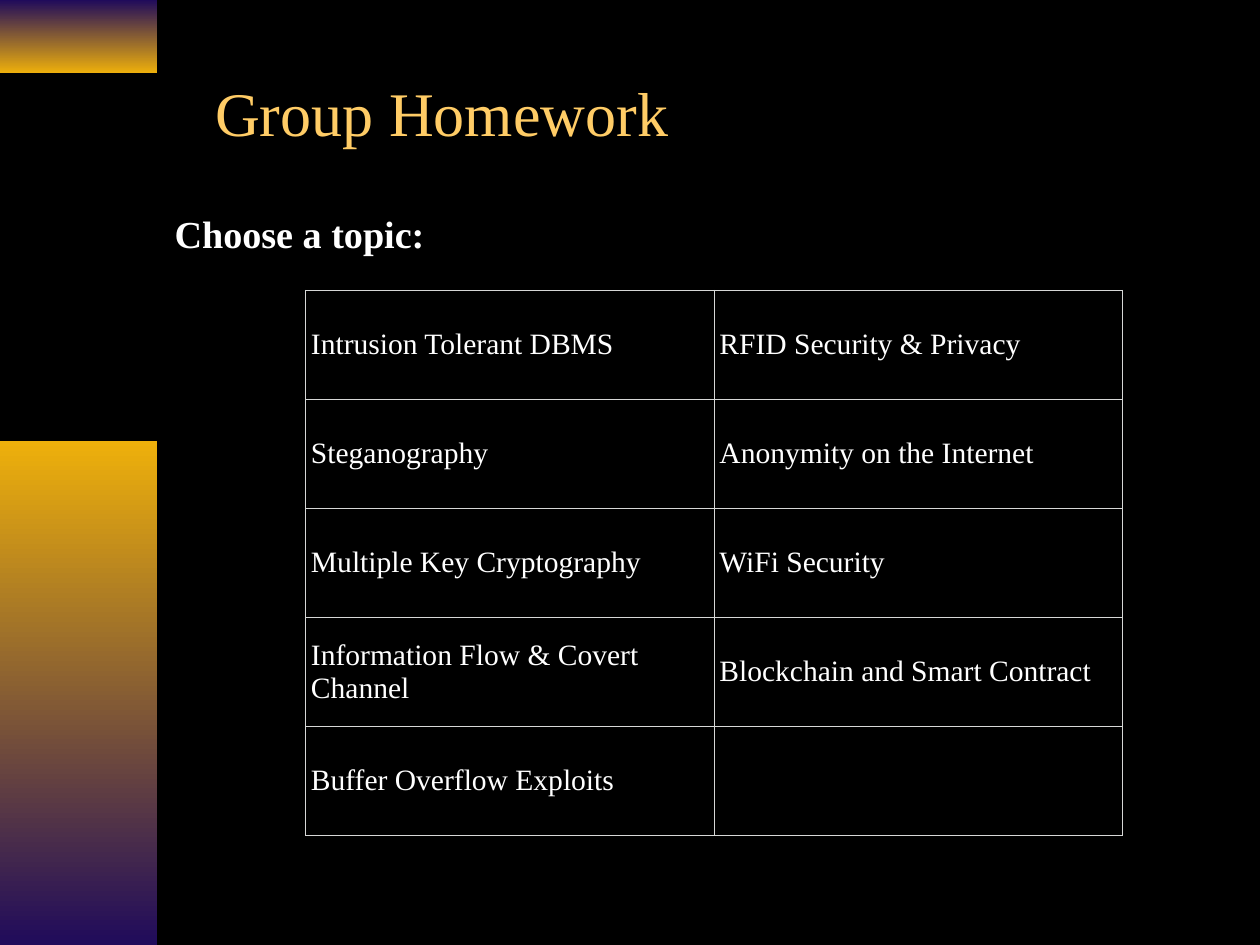
"""Build the Group Homework slide with its table of topics."""
import lxml.etree
import pptx
import pptx.dml.color
import pptx.enum.shapes
import pptx.enum.text
import pptx.oxml.ns
import pptx.util

TITLE = "Group Homework"
PROMPT = "Choose a topic:"
TOPICS = [
    ("Intrusion Tolerant DBMS", "RFID Security & Privacy"),
    ("Steganography", "Anonymity on the Internet"),
    ("Multiple Key Cryptography", "WiFi Security"),
    ("Information Flow & Covert Channel", "Blockchain and Smart Contract"),
    ("Buffer Overflow Exploits", ""),
]

BLACK = pptx.dml.color.RGBColor(0x00, 0x00, 0x00)
WHITE = pptx.dml.color.RGBColor(0xFF, 0xFF, 0xFF)
AMBER = pptx.dml.color.RGBColor(0xFF, 0xCC, 0x66)
GOLD = pptx.dml.color.RGBColor(0xEE, 0xB0, 0x0B)
NAVY = pptx.dml.color.RGBColor(0x20, 0x0B, 0x5B)
BORDER = pptx.dml.color.RGBColor(0xD6, 0xD7, 0xD6)

FONT = "Times New Roman"
WIDTH, HEIGHT = 14.22, 10.67
BAR_WIDTH = WIDTH / 8
BARS = [(0, 0.83, GOLD, NAVY), (4.98, HEIGHT - 4.98, NAVY, GOLD)]
TABLE_LEFT, TABLE_TOP = 3.45, 3.28
COLUMN_WIDTH, ROW_HEIGHT = 4.61, 1.23

Inches = pptx.util.Inches
Anchor = pptx.enum.text.MSO_ANCHOR
Align = pptx.enum.text.PP_ALIGN


def write_text(frame, text, size, color=WHITE, bold=False, align=Align.LEFT,
               anchor=Anchor.TOP, inset=0.07, space_before=0):
    frame.word_wrap = True
    frame.vertical_anchor = anchor
    frame.margin_left = frame.margin_right = Inches(inset)
    frame.margin_top = frame.margin_bottom = Inches(inset)
    paragraph = frame.paragraphs[0]
    paragraph.alignment = align
    paragraph.space_before = pptx.util.Pt(space_before)
    run = paragraph.add_run()
    run.text = text
    run.font.name = FONT
    run.font.size = pptx.util.Pt(size)
    run.font.bold = bold
    run.font.color.rgb = color


def add_text_box(slide, box, text, **text_format):
    shape = slide.shapes.add_textbox(*map(Inches, box))
    write_text(shape.text_frame, text, **text_format)


def add_bar(slide, top, height, bottom_color, top_color):
    shape = slide.shapes.add_shape(
        pptx.enum.shapes.MSO_SHAPE.RECTANGLE,
        0, Inches(top), Inches(BAR_WIDTH), Inches(height))
    shape.shadow.inherit = False
    shape.line.fill.background()
    shape.fill.gradient()
    shape.fill.gradient_angle = 90
    for stop, color in zip(shape.fill.gradient_stops, (bottom_color, top_color)):
        stop.color.rgb = color


def add_borders(cell):
    qn = pptx.oxml.ns.qn
    properties = cell._tc.get_or_add_tcPr()
    for side in ("a:lnL", "a:lnR", "a:lnT", "a:lnB"):
        line = lxml.etree.SubElement(properties, qn(side), w=str(pptx.util.Pt(1)))
        fill = lxml.etree.SubElement(line, qn("a:solidFill"))
        lxml.etree.SubElement(fill, qn("a:srgbClr"), val=str(BORDER))


def add_topic_table(slide):
    rows, columns = len(TOPICS), len(TOPICS[0])
    table = slide.shapes.add_table(
        rows, columns, Inches(TABLE_LEFT), Inches(TABLE_TOP),
        Inches(columns * COLUMN_WIDTH), Inches(rows * ROW_HEIGHT)).table
    table.first_row = table.horz_banding = False
    for row, topics in enumerate(TOPICS):
        for column, topic in enumerate(topics):
            cell = table.cell(row, column)
            add_borders(cell)
            cell.fill.background()
            cell.vertical_anchor = Anchor.MIDDLE
            cell.margin_left = cell.margin_right = Inches(0.06)
            cell.margin_top = cell.margin_bottom = Inches(0.06)
            if topic:
                write_text(cell.text_frame, topic, size=24, inset=0.06)


presentation = pptx.Presentation()
presentation.slide_width = Inches(WIDTH)
presentation.slide_height = Inches(HEIGHT)
slide = presentation.slides.add_slide(presentation.slide_layouts[6])
slide.background.fill.solid()
slide.background.fill.fore_color.rgb = BLACK

for bar in BARS:
    add_bar(slide, *bar)
add_text_box(slide, (1.4, 0.76, 7.17, 1), TITLE, size=50.4, color=AMBER,
             align=Align.CENTER, anchor=Anchor.MIDDLE)
add_text_box(slide, (1.9, 2.31, WIDTH - 1.9, 7.26), PROMPT, size=31, bold=True,
             space_before=8)
add_topic_table(slide)
presentation.save("out.pptx")
